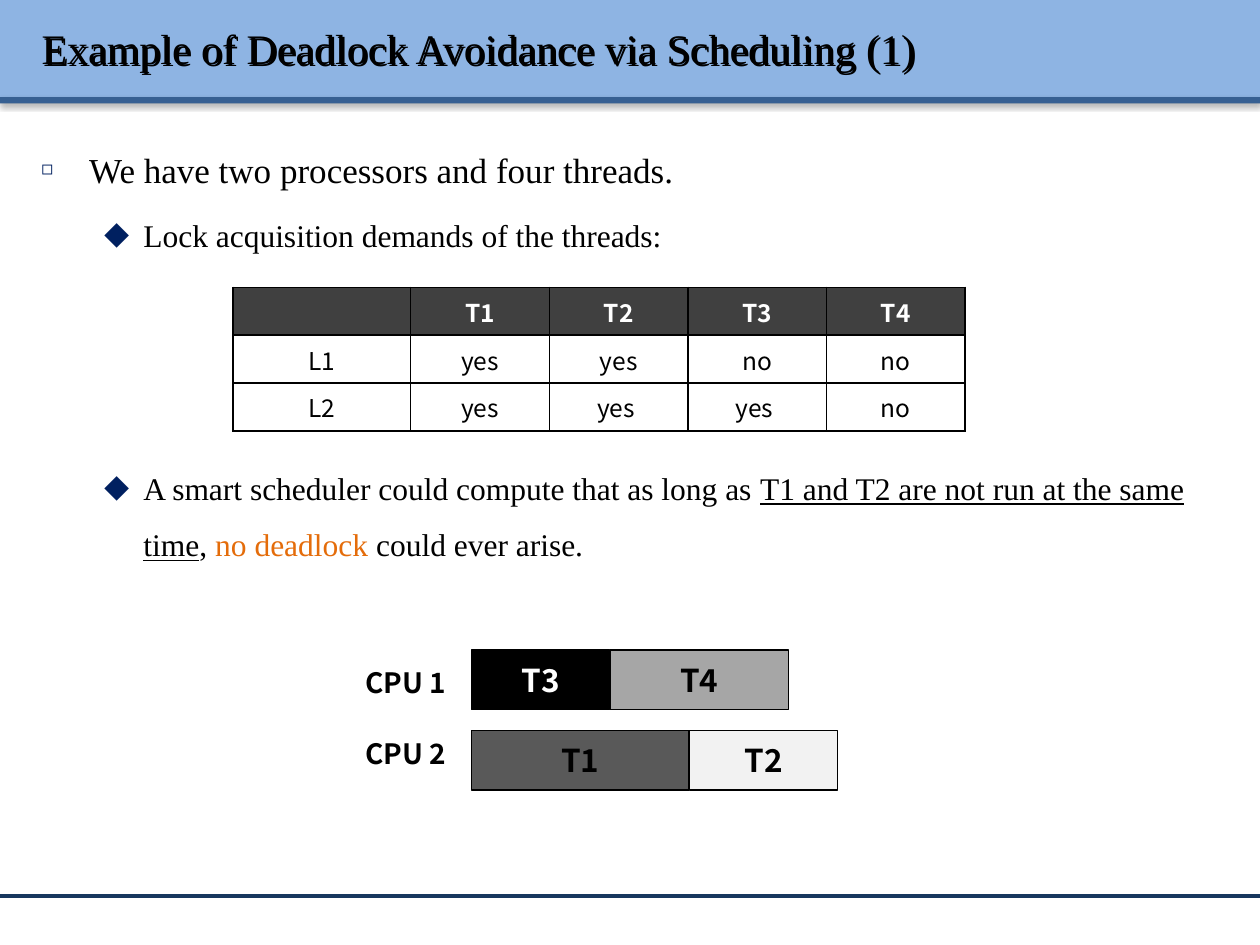
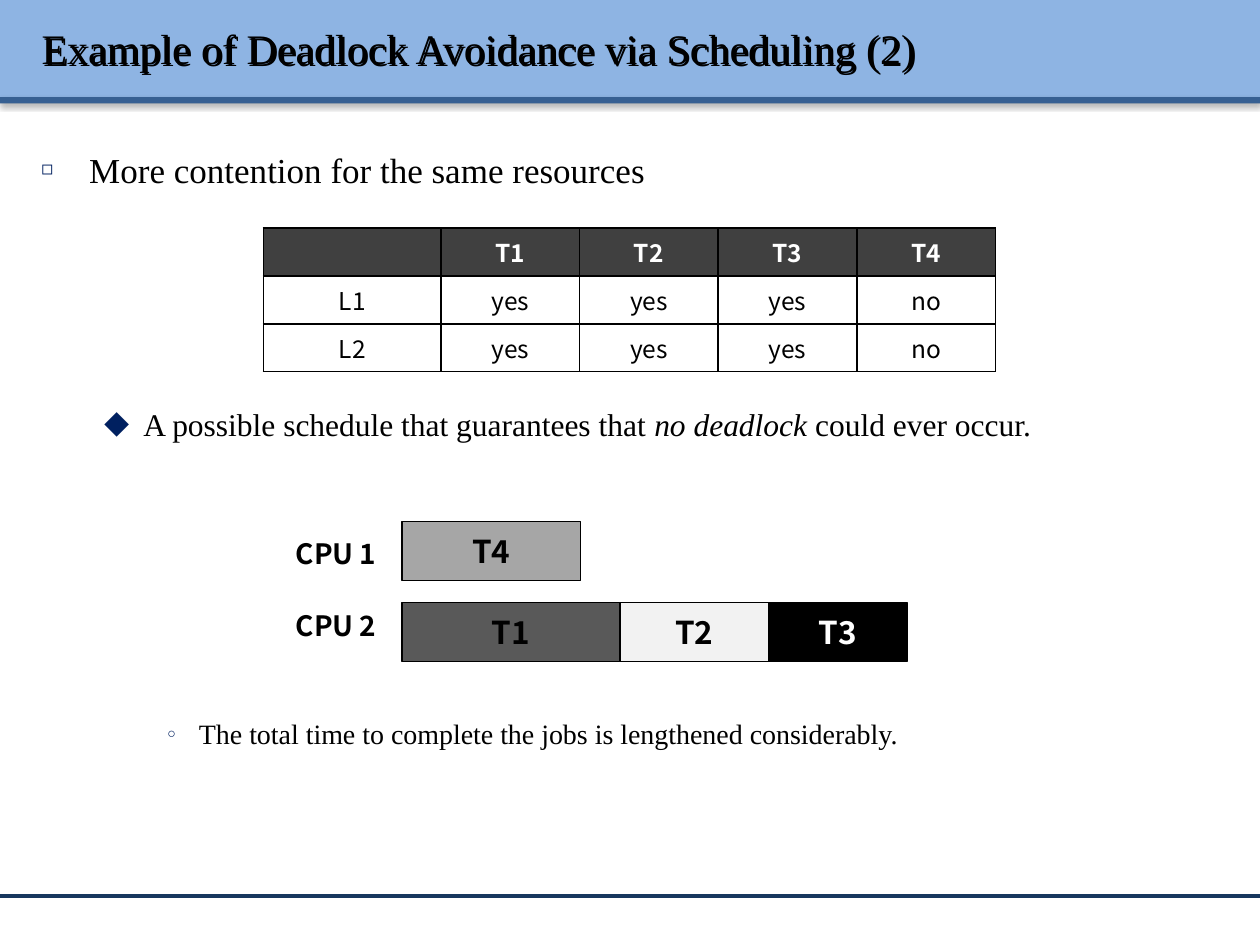
from pptx import Presentation
from pptx.dml.color import RGBColor
from pptx.enum.shapes import MSO_CONNECTOR, MSO_SHAPE
from pptx.enum.text import MSO_ANCHOR, MSO_AUTO_SIZE, PP_ALIGN
from pptx.oxml import parse_xml
from pptx.oxml.ns import nsdecls
from pptx.util import Inches, Pt

SERIF, SANS = "Times New Roman", "Noto Sans CJK KR"
BLACK, WHITE = "000000", "FFFFFF"
BAND, BAND_EDGE, FOOT_LINE = "8EB4E3", "376092", "17375E"
BULLET, ACCENT, HEAD_FILL = "002060", "E46C0A", "404040"

# Bullet levels: character, font, size in percent, left margin, hanging indent, text size
LEVELS = [("◻", SERIF, 55, 0.38, 0.38, 20),
          ("◆", SANS, 80, 0.81, 0.31, 18),
          ("○", SERIF, 50, 1.25, 0.25, 16)]

# Threads: bar width, fill, text colour
THREADS = {"T1": (1.73, "595959", BLACK),
           "T2": (1.18, "F2F2F2", BLACK),
           "T3": (1.1, BLACK, WHITE),
           "T4": (1.42, "A6A6A6", BLACK)}
BAR_H, BAR_STEP = 0.47, 0.64
LABEL_STEP = 0.57


def rgb(color):
    return RGBColor.from_string(color)


def box(x, y, w, h):
    return Inches(x), Inches(y), Inches(w), Inches(h)


def add_text(p, text, size=18, font=SERIF, color=BLACK, bold=False,
             italic=False, underline=False):
    r = p.add_run()
    r.text = text
    f = r.font
    f.size, f.name, f.bold, f.italic = Pt(size), font, bold, italic
    f.underline = underline
    f.color.rgb = rgb(color)


def add_shadow(sp, blur, dist, angle, alpha):
    sp.element.spPr.append(parse_xml(
        f'<a:effectLst {nsdecls("a")}><a:outerShdw blurRad="{Pt(blur)}" '
        f'dist="{Pt(dist)}" dir="{angle * 60000}" algn="t" rotWithShape="0">'
        f'<a:srgbClr val="{BLACK}"><a:alpha val="{alpha * 1000}"/></a:srgbClr>'
        '</a:outerShdw></a:effectLst>'))


def add_rect(s, x, y, w, h, fill, line=None):
    sp = s.shapes.add_shape(MSO_SHAPE.RECTANGLE, *box(x, y, w, h))
    sp.fill.solid()
    sp.fill.fore_color.rgb = rgb(fill)
    if line:
        sp.shadow.inherit = False
        sp.line.color.rgb = rgb(line)
        sp.line.width = Pt(0.75)
    else:
        sp.line.fill.background()
    return sp


# Title band, foot line and title shared by the slides
def add_slide(prs, title):
    s = prs.slides.add_slide(prs.slide_layouts[5])
    for y, h, fill in [(0, 0.77, BAND), (0.77, 0.05, BAND_EDGE)]:
        add_shadow(add_rect(s, 0, y, 10, h, fill), 3.1, 1.6, 90, 38)
    line = s.shapes.add_connector(MSO_CONNECTOR.STRAIGHT, Inches(0), Inches(7.11),
                                  Inches(10), Inches(7.11))
    line.line.color.rgb = rgb(FOOT_LINE)
    line.line.width = Pt(2)
    line.element.spPr.append(parse_xml(f'<a:effectLst {nsdecls("a")}/>'))

    sp = s.shapes.title
    sp.left, sp.top, sp.width, sp.height = box(0.23, 0.06, 9.61, 0.64)
    sp.element.getparent().append(sp.element)  # in front of the band
    sp.fill.background()
    add_shadow(sp, 0, 1.5, 45, 100)  # without a fill, the text casts it
    tf = sp.text_frame
    tf.vertical_anchor = MSO_ANCHOR.MIDDLE
    tf.auto_size = MSO_AUTO_SIZE.NONE
    p = tf.paragraphs[0]
    p.alignment = PP_ALIGN.LEFT
    add_text(p, title, size=24)
    return s


def set_bullet(p, level):
    char, font, percent, margin, hang, _ = LEVELS[level]
    pPr = p._p.get_or_add_pPr()
    pPr.set("marL", str(Inches(margin)))
    pPr.set("indent", str(-Inches(hang)))
    for xml in (f'<a:buClr {{}}><a:srgbClr val="{BULLET}"/></a:buClr>',
                f'<a:buSzPct {{}} val="{percent * 1000}"/>',
                f'<a:buFont {{}} typeface="{font}"/>',
                f'<a:buChar {{}} char="{char}"/>'):
        pPr.append(parse_xml(xml.format(nsdecls("a"))))


# Items: level, space before in points, list of (text, format)
def add_body(s, items):
    tf = s.shapes.add_textbox(*box(0.23, 0.96, 9.61, 6.02)).text_frame
    tf.word_wrap = True
    for i, (level, before, runs) in enumerate(items):
        p = tf.add_paragraph() if i else tf.paragraphs[0]
        set_bullet(p, level)
        p.line_spacing = 1.5
        p.space_before = Pt(before)
        for text, style in runs:
            add_text(p, text, size=LEVELS[level][-1], **style)


def set_borders(cell):
    tcPr = cell._tc.get_or_add_tcPr()
    for i, side in enumerate(("lnL", "lnR", "lnT", "lnB")):
        tcPr.insert(i, parse_xml(
            f'<a:{side} {nsdecls("a")} w="{Pt(1)}"><a:solidFill>'
            f'<a:srgbClr val="{BLACK}"/></a:solidFill></a:{side}>'))


def add_lock_table(s, x, y, demands):
    rows = [["", *THREADS]] + demands
    widths = [1.41] + [1.1] * len(THREADS)
    row_h = 0.38
    table = s.shapes.add_table(len(rows), len(widths), *box(
        x, y, sum(widths), row_h * len(rows))).table
    for col, w in zip(table.columns, widths):
        col.width = Inches(w)
    for i, row in enumerate(rows):
        table.rows[i].height = Inches(row_h)
        head = i == 0
        for j, text in enumerate(row):
            cell = table.cell(i, j)
            cell.fill.solid()
            cell.fill.fore_color.rgb = rgb(HEAD_FILL if head else WHITE)
            cell.vertical_anchor = MSO_ANCHOR.MIDDLE
            set_borders(cell)
            p = cell.text_frame.paragraphs[0]
            p.alignment = PP_ALIGN.CENTER
            if text:
                add_text(p, text, size=14, font=SANS, bold=head,
                         color=WHITE if head else BLACK)
            else:  # keeps the empty cell from stretching its row
                p._p.append(parse_xml(f'<a:endParaRPr {nsdecls("a")} sz="1400"/>'))


# One row of thread bars for each CPU, starting at x
def add_schedule(s, x, y, cpus):
    for i, threads in enumerate(cpus):
        tf = s.shapes.add_textbox(*box(
            x - 0.94, y + 0.07 + i * LABEL_STEP, 0.86, 0.37)).text_frame
        tf.word_wrap = False
        add_text(tf.paragraphs[0], f"CPU {i + 1}", size=16, font=SANS, bold=True)
        left = x
        for name in threads:
            w, fill, color = THREADS[name]
            sp = add_rect(s, left, y + i * BAR_STEP, w, BAR_H, fill, line=BLACK)
            sp.text_frame.vertical_anchor = MSO_ANCHOR.MIDDLE
            p = sp.text_frame.paragraphs[0]
            p.alignment = PP_ALIGN.CENTER
            add_text(p, name, font=SANS, color=color, bold=True)
            left += w


def main():
    prs = Presentation()
    prs.slide_width, prs.slide_height = Inches(10), Inches(7.5)
    title = "Example of Deadlock Avoidance via Scheduling ({})"

    # Two threads contend for both locks
    s = add_slide(prs, title.format(1))
    add_body(s, [
        (0, 0, [("We have two processors and four threads.", {})]),
        (1, 4, [("Lock acquisition demands of the threads:", {})]),
        (1, 112, [("A smart scheduler could compute that as long as ", {}),
                  ("T1 and T2 are not run at the same time", {"underline": True}),
                  (", ", {}),
                  ("no deadlock ", {"color": ACCENT}),
                  ("could ever arise.", {})])])
    add_lock_table(s, 1.85, 2.28, [["L1", "yes", "yes", "no", "no"],
                                   ["L2", "yes", "yes ", "yes ", "no"]])
    add_schedule(s, 3.74, 5.16, [["T3", "T4"], ["T1", "T2"]])

    # Three threads contend for both locks
    s = add_slide(prs, title.format(2))
    add_body(s, [
        (0, 0, [("More contention for the same resources", {})]),
        (1, 112, [("A possible schedule that guarantees that ", {}),
                  ("no deadlock ", {"italic": True}),
                  ("could ever occur.", {})]),
        (2, 147, [("The total time to complete the jobs is lengthened "
                   "considerably.", {})])])
    add_lock_table(s, 2.09, 1.81, [["L1", "yes", "yes", "yes", "no"],
                                   ["L2", "yes", "yes", "yes", "no"]])
    add_schedule(s, 3.19, 4.14, [["T4"], ["T1", "T2", "T3"]])

    prs.save("out.pptx")


if __name__ == "__main__":
    main()
